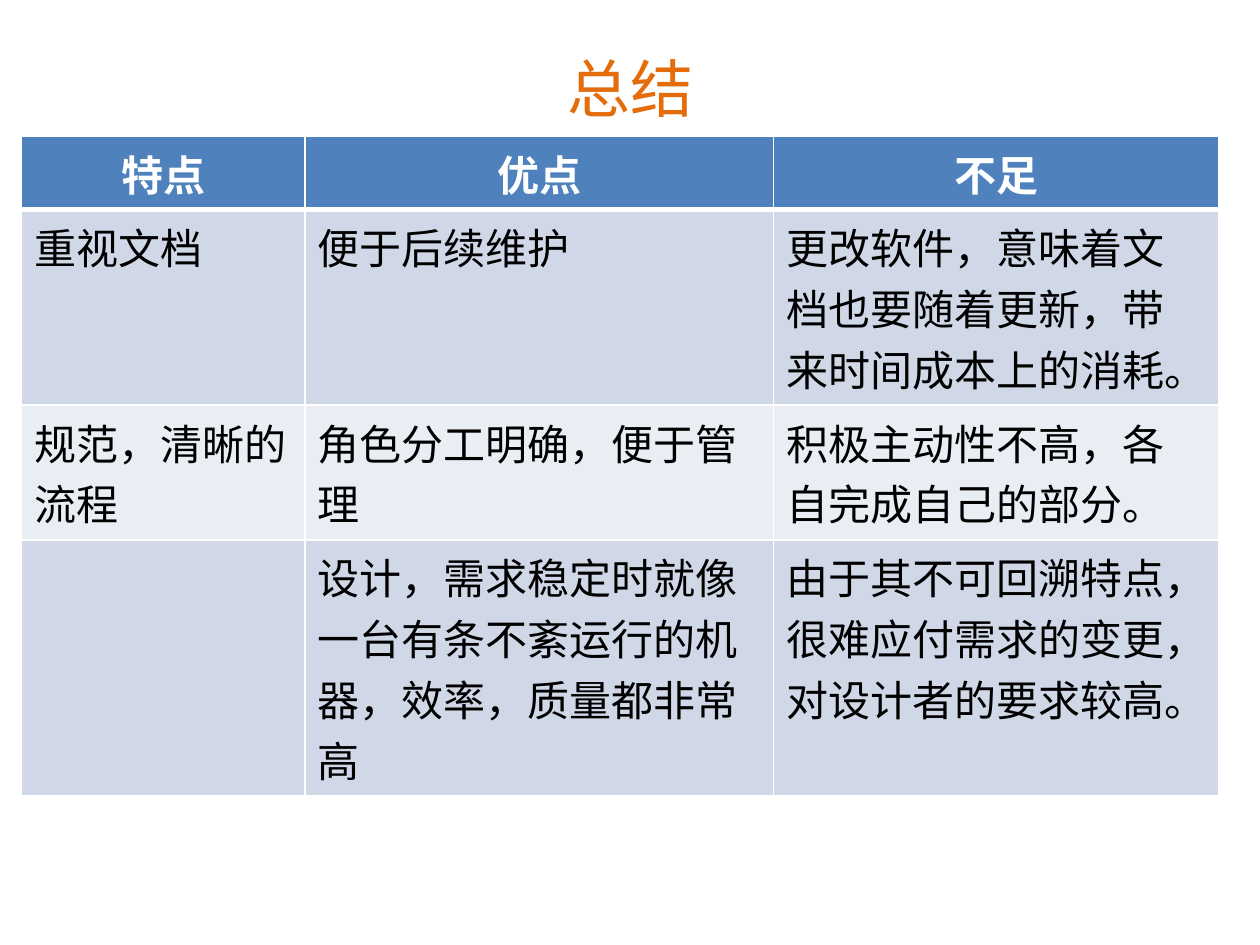
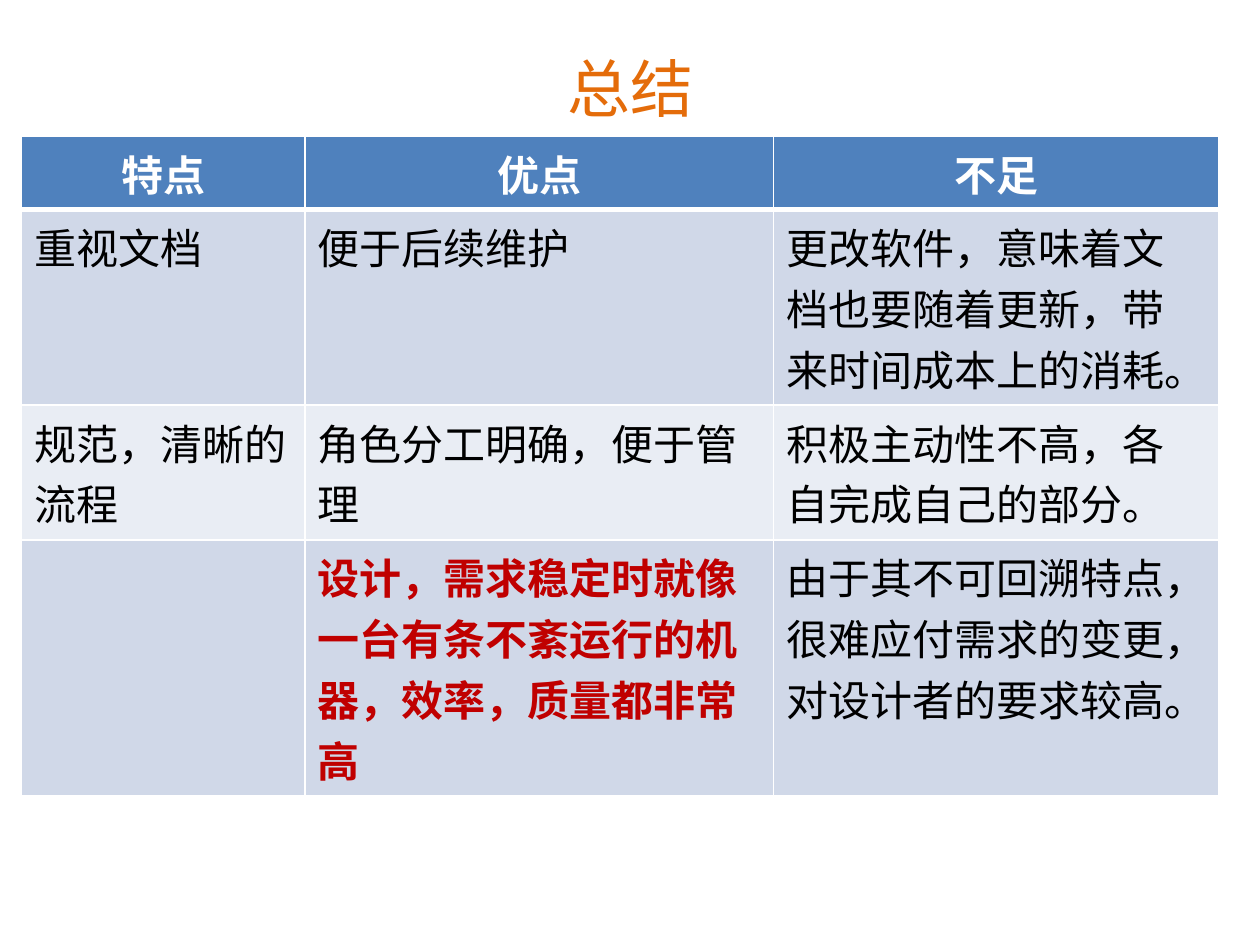
from lxml.etree import SubElement
from pptx import Presentation
from pptx.dml.color import RGBColor
from pptx.enum.text import MSO_ANCHOR, PP_ALIGN
from pptx.oxml.ns import qn
from pptx.util import Inches, Pt

CJK_FONT = "Noto Sans CJK SC"
ORANGE, BLUE, RED = "E46C0A", "4F81BD", "C00000"
WHITE, BLACK = "FFFFFF", "000000"
BANDS = ["D0D8E8", "E9EDF4"]

COL_WIDTHS = [2.25, 3.72, 3.53]
ROW_HEIGHTS = [0.58, 1.55, 1.07, 2.03]
ROWS = [
    ["特点", "优点", "不足"],
    ["重视文档", "便于后续维护", "更改软件，意味着文档也要随着更新，带来时间成本上的消耗。"],
    ["规范，清晰的流程", "角色分工明确，便于管理", "积极主动性不高，各自完成自己的部分。"],
    ["", "设计，需求稳定时就像一台有条不紊运行的机器，效率，质量都非常高",
     "由于其不可回溯特点，很难应付需求的变更，对设计者的要求较高。"],
]
# Cell (row, column) emphasised on each slide
HIGHLIGHTS = [None, (3, 1)]


def style_text(p, size, font, color, bold=False):
    for r in p.runs:
        r.font.size = Pt(size)
        r.font.name = font
        r.font.bold = bold
        r.font.color.rgb = RGBColor.from_string(color)
        SubElement(r.font._element, qn("a:ea"), typeface=CJK_FONT)


def set_borders(cell, top, bottom):
    """Draw white cell borders; top and bottom widths are in points."""
    tc_pr = cell._tc.get_or_add_tcPr()
    for side, width in (("L", 1), ("R", 1), ("T", top), ("B", bottom)):
        ln = SubElement(tc_pr, qn(f"a:ln{side}"), w=str(Pt(width)))
        fill = SubElement(ln, qn("a:solidFill"))
        SubElement(fill, qn("a:srgbClr"), val=WHITE)


prs = Presentation()
prs.slide_width, prs.slide_height = Inches(10), Inches(7.5)

for highlight in HIGHLIGHTS:
    s = prs.slides.add_slide(prs.slide_layouts[5])
    title = s.shapes.title
    title.left, title.top = Inches(0.5), Inches(0.3)
    title.width, title.height = Inches(9), Inches(0.78)
    tf = title.text_frame
    tf.text = "总结"
    tf.vertical_anchor = MSO_ANCHOR.MIDDLE
    p = tf.paragraphs[0]
    p.alignment = PP_ALIGN.CENTER
    style_text(p, 36, CJK_FONT, ORANGE)

    table = s.shapes.add_table(
        len(ROWS), len(COL_WIDTHS), Inches(0.17), Inches(1.08),
        Inches(sum(COL_WIDTHS)), Inches(sum(ROW_HEIGHTS))).table
    for column, width in zip(table.columns, COL_WIDTHS):
        column.width = Inches(width)

    for i, texts in enumerate(ROWS):
        table.rows[i].height = Inches(ROW_HEIGHTS[i])
        header = i == 0
        for j, text in enumerate(texts):
            cell = table.cell(i, j)
            set_borders(cell, top=3 if i == 1 else 1, bottom=3 if header else 1)
            cell.fill.solid()
            cell.fill.fore_color.rgb = RGBColor.from_string(
                BLUE if header else BANDS[(i - 1) % 2])
            cell.text_frame.text = text
            p = cell.text_frame.paragraphs[0]
            p.alignment = PP_ALIGN.CENTER if header else PP_ALIGN.LEFT
            marked = (i, j) == highlight
            color = WHITE if header else RED if marked else BLACK
            style_text(p, 24, "Arial", color, bold=header or marked)

prs.save("out.pptx")
